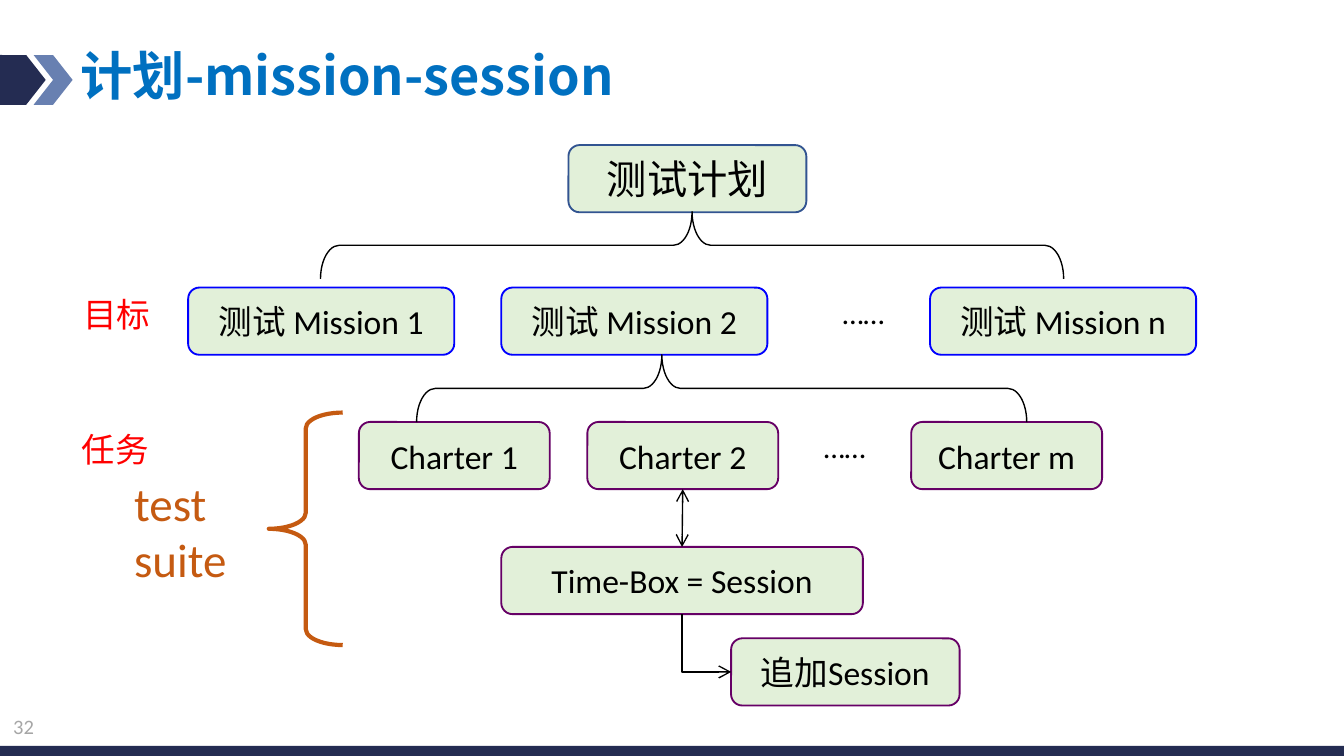
from lxml import etree
from pptx import Presentation
from pptx import util as u
from pptx.dml.color import RGBColor
from pptx.enum import shapes, text
from pptx.oxml.ns import qn

SLIDE_WIDTH = 10
LATIN_FONT = "Calibri"
CHINESE_FONT = "Noto Sans CJK SC"
NAVY, STEEL, BLUE = "242C52", "6880B1", "0000FF"
GREEN, PURPLE, ORANGE = "E2F0D9", "660066", "C55A11"
BLACK, RED = "000000", "FF0000"
PRESET = shapes.MSO_SHAPE
CENTER = text.PP_ALIGN.CENTER
MIDDLE = text.MSO_ANCHOR.MIDDLE


def color(value):
    return RGBColor.from_string(value)


def write(shape, words, size=18, font=LATIN_FONT, fill=BLACK, bold=False,
          align=text.PP_ALIGN.LEFT, anchor=text.MSO_ANCHOR.TOP, wrap=True):
    frame = shape.text_frame
    frame.word_wrap = wrap
    frame.vertical_anchor = anchor
    paragraph = frame.paragraphs[0]
    paragraph.alignment = align
    run = paragraph.add_run()
    run.text = words
    run.font.name = font
    run.font.size = u.Pt(size)
    run.font.bold = bold
    run.font.color.rgb = color(fill)
    east_asian = etree.SubElement(run._r.get_or_add_rPr(), qn("a:ea"))
    east_asian.set("typeface", CHINESE_FONT)


def add_label(parent, box, words, **style):
    label = parent.add_textbox(*map(u.Inches, box))
    write(label, words, **style)
    return label


def add_preset(parent, preset, box, fill=None, line=None, width=1, adjustments=()):
    shape = parent.add_shape(preset, *map(u.Inches, box))
    shape.shadow.inherit = False
    for index, value in enumerate(adjustments):
        shape.adjustments[index] = value
    if fill:
        shape.fill.solid()
        shape.fill.fore_color.rgb = color(fill)
    else:
        shape.fill.background()
    if line:
        shape.line.color.rgb = color(line)
        shape.line.width = u.Pt(width)
    else:
        shape.line.fill.background()
    return shape


def add_node(parent, left, top, width, words, line, **style):
    node = add_preset(parent, PRESET.ROUNDED_RECTANGLE, (left, top, width, 0.5), GREEN, line)
    write(node, words, align=CENTER, anchor=MIDDLE, **style)
    return node


def add_row(parent, top, width, lefts, names, line):
    return [add_node(parent, left, top, width, name, line)
            for left, name in zip(lefts, names)]


def add_down_brace(parent, box, peak):
    brace = add_preset(parent, PRESET.RIGHT_BRACE, box, line=BLACK, width=0.75,
                       adjustments=(0.279, peak))
    brace.rotation = 270


def add_link(parent, kind, start, start_side, end, end_side, ends):
    link = parent.add_connector(kind, 0, 0, 0, 0)
    link.begin_connect(start, start_side)
    link.end_connect(end, end_side)
    link.line.color.rgb = color(BLACK)
    link.line.width = u.Pt(0.75)
    outline = link.line._get_or_add_ln()
    for end_name in ends:
        etree.SubElement(outline, qn(f"a:{end_name}")).set("type", "arrow")
    etree.SubElement(link._element.spPr, qn("a:effectLst"))
    return link


def make_single_bend(link):
    run, drop = link.width, link.height
    shift = (drop - run) // 2
    link.left, link.top = link.left - shift, link.top + shift
    link.width, link.height = drop, run
    properties = link._element.spPr
    frame = properties.find(qn("a:xfrm"))
    frame.set("rot", "16200000")
    frame.set("flipH", "1")
    properties.find(qn("a:prstGeom")).set("prst", "bentConnector2")


def add_frame(parent):
    add_preset(parent, PRESET.RECTANGLE, (0, 5.55, SLIDE_WIDTH, 0.13), NAVY)
    marker = parent.add_group_shape().shapes
    add_preset(marker, PRESET.ROUNDED_RECTANGLE, (-0.15, 0.41, 0.35, 0.37), NAVY,
               adjustments=(0.1,))
    for left, fill in ((0.25, STEEL), (0.05, NAVY)):
        add_preset(marker, PRESET.CHEVRON, (left, 0.41, 0.29, 0.37), fill)
    add_label(parent, (0, 5.26, SLIDE_WIDTH, 0.22), "32", size=11, fill="A6A6A6")
    title = add_label(parent, (0.51, 0.26, 6.52, 0.59), "计划-mission-session", size=28,
                      font=CHINESE_FONT, fill="0070C0", bold=True, anchor=MIDDLE)
    frame = title.text_frame
    frame.margin_left = frame.margin_right = u.Inches(0.09)
    frame.margin_top = frame.margin_bottom = u.Inches(0.04)


def add_tree(parent):
    add_node(parent, 4.23, 1.08, 1.77, "测试计划", "325491", size=21.6, font=CHINESE_FONT)
    add_row(parent, 2.14, 1.98, (1.4, 3.73, 6.92),
            [f"测试 Mission {key}" for key in "12n"], BLUE)
    charters = add_row(parent, 3.14, 1.42, (2.67, 4.37, 6.78),
                       [f"Charter {key}" for key in "12m"], PURPLE)
    for left, top in ((6, 2.14), (5.86, 3.14)):
        add_label(parent, (left, top, 0.85, 0.37), "……", size=16.2, align=CENTER)
    session = add_node(parent, 3.73, 4.07, 2.69, "Time-Box = Session", PURPLE)
    extra = add_node(parent, 5.44, 4.75, 1.7, "追加Session", PURPLE)
    add_down_brace(parent, (4.9, -0.94, 0.5, 5.53), 0.5)
    add_down_brace(parent, (5.12, 0.62, 0.5, 4.54), 0.402)
    connector = shapes.MSO_CONNECTOR
    add_link(parent, connector.STRAIGHT, charters[1], 2, session, 0, ("headEnd", "tailEnd"))
    make_single_bend(add_link(parent, connector.ELBOW, session, 2, extra, 1, ("tailEnd",)))


def add_side_labels(parent):
    suite = parent.add_group_shape().shapes
    add_preset(suite, PRESET.LEFT_BRACE, (2, 3.07, 0.55, 1.73), line=ORANGE, width=2.25,
               adjustments=(0.215, 0.5))
    add_label(suite, (0.9, 3.48, 1.24, 0.95), "test suite", size=25.2, fill=ORANGE)
    for left, top, words in ((0.52, 2.14, "目标"), (0.51, 3.14, "任务")):
        add_label(parent, (left, top, 0.7, 0.4), words, fill=RED, wrap=False)


def main():
    presentation = Presentation()
    presentation.slide_width = u.Inches(SLIDE_WIDTH)
    presentation.slide_height = u.Inches(SLIDE_WIDTH * 9 / 16)
    slide = presentation.slides.add_slide(presentation.slide_layouts[6])
    add_frame(slide.shapes)
    add_tree(slide.shapes)
    add_side_labels(slide.shapes)
    presentation.save("out.pptx")


if __name__ == "__main__":
    main()
